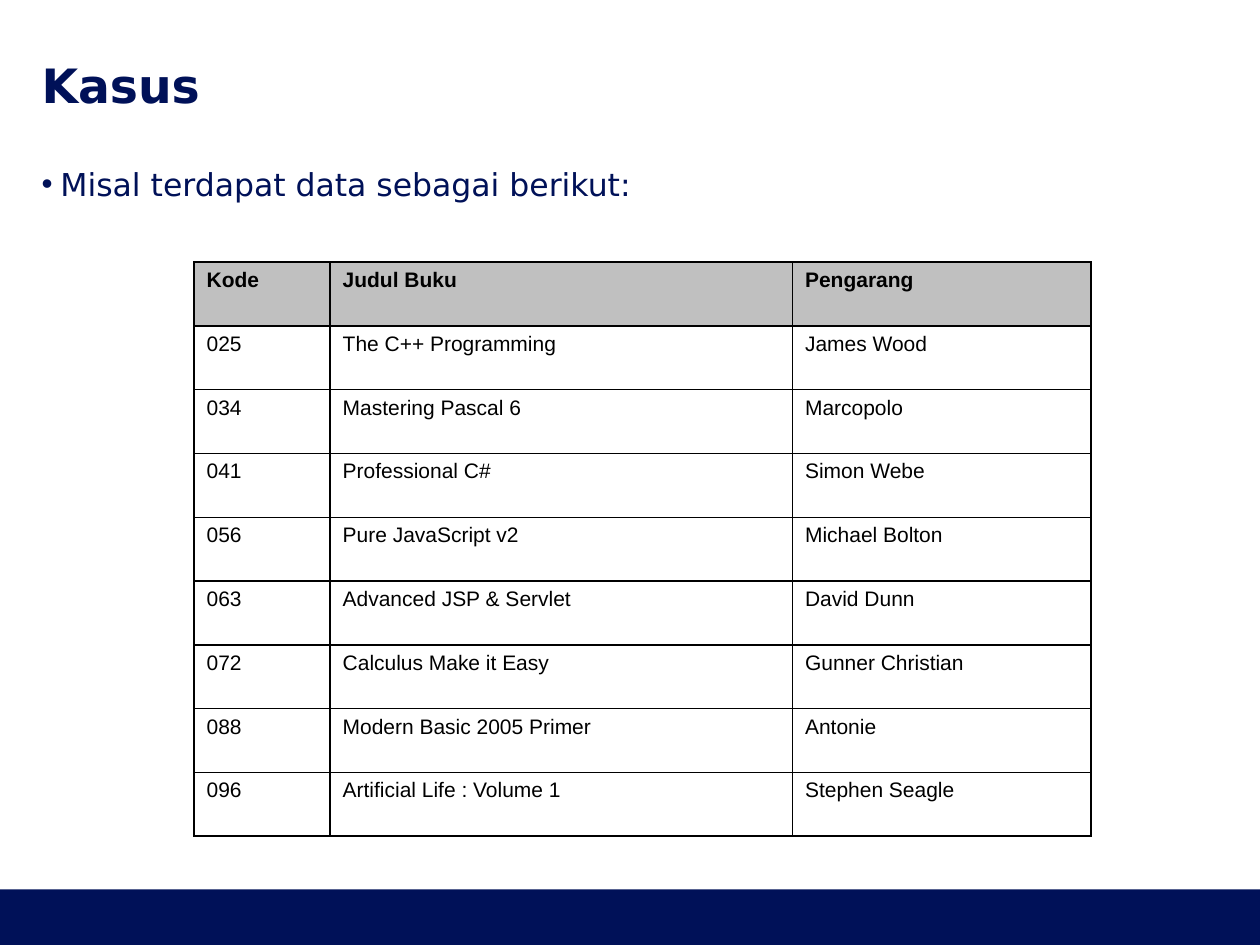
from lxml.etree import SubElement
from pptx import Presentation
from pptx.dml.color import RGBColor
from pptx.enum.shapes import MSO_SHAPE as Shape
from pptx.enum.text import MSO_ANCHOR as Anchor, PP_ALIGN as Align
from pptx.oxml.ns import qn
from pptx.util import Inches, Pt

NAVY, BLACK, GRAY = "001158", "000000", "C0C0C0"
TITLE = "Kasus"
LEAD = "Misal terdapat data sebagai berikut:"
BOOKS = [
    ("Kode", "Judul Buku", "Pengarang"),
    ("025", "The C++ Programming", "James Wood"),
    ("034", "Mastering Pascal 6", "Marcopolo"),
    ("041", "Professional C#", "Simon Webe"),
    ("056", "Pure JavaScript v2", "Michael Bolton"),
    ("063", "Advanced JSP & Servlet", "David Dunn"),
    ("072", "Calculus Make it Easy", "Gunner Christian"),
    ("088", "Modern Basic 2005 Primer", "Antonie"),
    ("096", "Artificial Life : Volume 1", "Stephen Seagle"),
]
WIDTHS = (1.08, 3.67, 2.37)
TABLE_HEIGHT = 4.56


def color(code):
    return RGBColor.from_string(code)


def write(frame, text, size, font="DejaVu Sans", ink=NAVY, bold=False,
          align=None, indent=0, bullet=None, line=None, gap=None):
    """Fill the first paragraph of a text frame; indent is hanging."""
    para = frame.paragraphs[0]
    if align is not None:
        para.alignment = align
    if line:
        para.line_spacing = line
    if gap is not None:
        para.space_before = para.space_after = Pt(gap)
    props = para._p.get_or_add_pPr()
    if indent:
        props.set("marL", str(Inches(indent)))
        props.set("indent", str(-Inches(indent)))
    if bullet:
        tint = SubElement(props, qn("a:buClr"))
        SubElement(tint, qn("a:srgbClr"), val=ink)
        SubElement(props, qn("a:buFont"), typeface="Arial")
        SubElement(props, qn("a:buChar"), char=bullet)
    run = para.add_run()
    run.text = text
    run.font.name, run.font.size, run.font.bold = font, Pt(size), bold
    run.font.color.rgb = color(ink)


def text_box(slide, top, height, text, size, anchor=Anchor.TOP, **style):
    box = slide.shapes.add_textbox(
        Inches(0.33), Inches(top), Inches(9.34), Inches(height))
    frame = box.text_frame
    frame.word_wrap = True
    frame.vertical_anchor = anchor
    frame.margin_left = frame.margin_right = 0
    frame.margin_top = frame.margin_bottom = 0
    write(frame, text, size, **style)


def border(cell, ink=BLACK, width=1):
    props = cell._tc.get_or_add_tcPr()
    for side in ("lnL", "lnR", "lnT", "lnB"):
        edge = SubElement(props, qn(f"a:{side}"), w=str(Pt(width)))
        fill = SubElement(edge, qn("a:solidFill"))
        SubElement(fill, qn("a:srgbClr"), val=ink)


def book_table(slide):
    table = slide.shapes.add_table(
        len(BOOKS), len(WIDTHS), Inches(1.54), Inches(2.08),
        Inches(sum(WIDTHS)), Inches(TABLE_HEIGHT)).table
    table.first_row = table.horz_banding = False
    for col, width in zip(table.columns, WIDTHS):
        col.width = Inches(width)
    for r, book in enumerate(BOOKS):
        head = r == 0
        for c, text in enumerate(book):
            cell = table.cell(r, c)
            border(cell)
            if head:
                cell.fill.solid()
                cell.fill.fore_color.rgb = color(GRAY)
            else:
                cell.fill.background()
            write(cell.text_frame, text, 12, font="Arial", ink=BLACK,
                  bold=head, align=Align.JUSTIFY, indent=0.38)


def main():
    deck = Presentation()
    deck.slide_width, deck.slide_height = Inches(10), Inches(7.5)
    slide = deck.slides.add_slide(deck.slide_layouts[6])

    band = slide.shapes.add_shape(
        Shape.RECTANGLE, 0, Inches(7.06), Inches(10), Inches(0.44))
    band.shadow.inherit = False
    band.fill.solid()
    band.fill.fore_color.rgb = color(NAVY)
    band.line.fill.background()

    text_box(slide, 0.44, 0.47, TITLE, 27, anchor=Anchor.MIDDLE, bold=True)
    text_box(slide, 1.37, 5.24, LEAD, 18, indent=0.15, bullet="•",
             line=0.8, gap=4.5)
    book_table(slide)
    deck.save("out.pptx")


if __name__ == "__main__":
    main()
